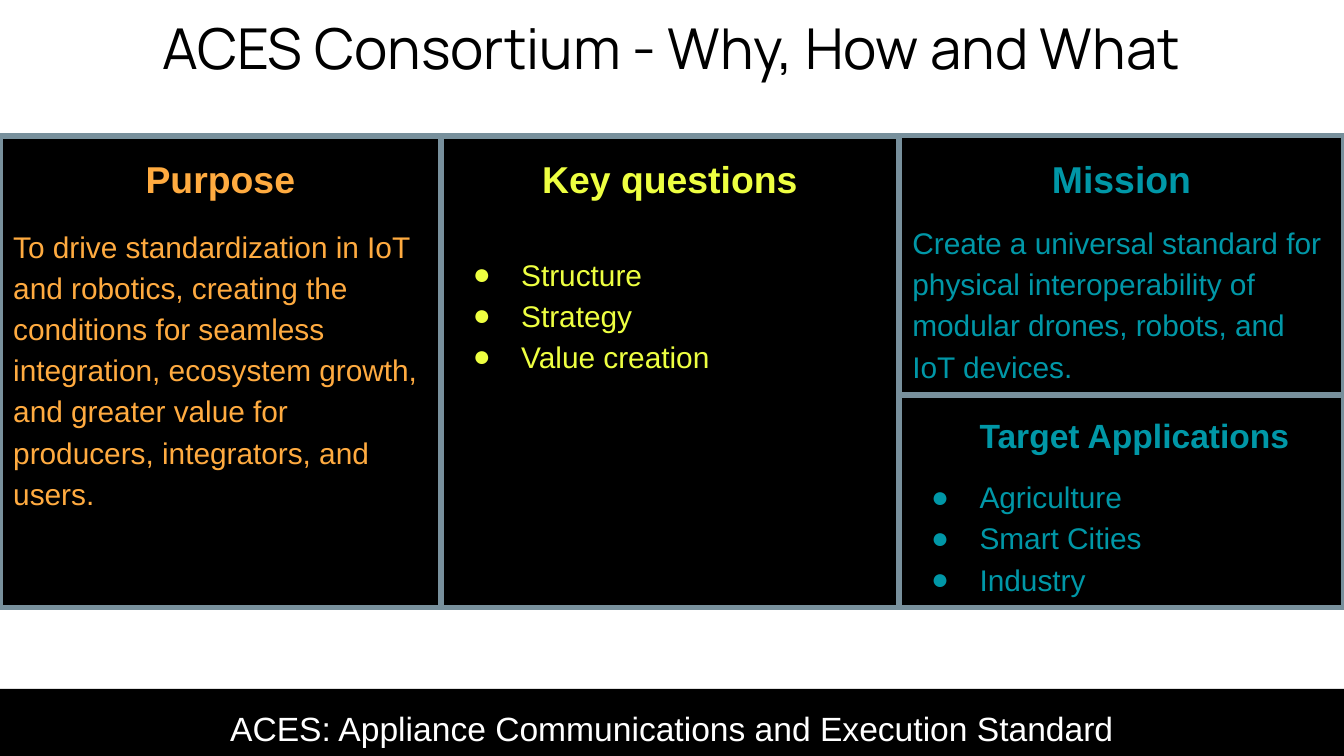
"""Build the ACES Consortium slide: purpose, key questions, mission and applications."""
from dataclasses import dataclass

from lxml import etree
from pptx import Presentation
from pptx.dml.color import RGBColor
from pptx.enum.shapes import MSO_SHAPE
from pptx.enum.text import MSO_ANCHOR, PP_ALIGN
from pptx.oxml.ns import qn
from pptx.util import Inches, Pt

RECTANGLE = MSO_SHAPE.RECTANGLE
TOP = MSO_ANCHOR.TOP
LEFT, CENTER = PP_ALIGN.LEFT, PP_ALIGN.CENTER


@dataclass(frozen=True)
class Theme:
    black: str = "000000"
    white: str = "FFFFFF"
    border: str = "78909C"
    orange: str = "FFAB40"
    yellow: str = "EEFF41"
    teal: str = "0097A7"
    title_font: str = "Manrope"
    body_font: str = "Arial"
    title_size: float = 30.2
    heading_size: float = 20
    subheading_size: float = 18
    body_size: float = 16
    border_width: float = 3
    line_spacing: float = 1.15
    inset: float = 0.1


@dataclass(frozen=True)
class Line:
    text: str
    size: float
    bold: bool = False
    align: PP_ALIGN = LEFT
    before: float = 0
    indent: float = 0
    bullet: bool = False


@dataclass(frozen=True)
class Card:
    left: float
    top: float
    width: float
    height: float
    color: str
    lines: tuple[Line, ...]


THEME = Theme()
SLIDE_WIDTH = 10
SLIDE_HEIGHT = SLIDE_WIDTH * 9 / 16
CARDS_TOP, CARDS_HEIGHT = 1.01, 3.51
QUESTIONS_LEFT, MISSION_LEFT = 3.28, 6.69
MISSION_HEIGHT = 1.93
MISSION_WIDTH = SLIDE_WIDTH - MISSION_LEFT
FOOTER_HEIGHT = 0.5


def heading(text: str) -> Line:
    return Line(text, THEME.heading_size, bold=True, align=CENTER)


def bullets(items: tuple[str, ...], before: float) -> tuple[Line, ...]:
    return tuple(
        Line(item, THEME.body_size, before=0 if index else before, indent=0.5, bullet=True)
        for index, item in enumerate(items)
    )


CARDS = (
    Card(QUESTIONS_LEFT, CARDS_TOP, MISSION_LEFT - QUESTIONS_LEFT, CARDS_HEIGHT, THEME.yellow, (
        heading("Key questions"),
        *bullets(("Structure", "Strategy", "Value creation"), 27),
    )),
    Card(MISSION_LEFT, CARDS_TOP, MISSION_WIDTH, MISSION_HEIGHT, THEME.teal, (
        heading("Mission"),
        Line("Create a universal standard for physical interoperability of modular drones, "
             "robots, and IoT devices.", THEME.body_size, before=10),
    )),
    Card(MISSION_LEFT, CARDS_TOP + MISSION_HEIGHT, MISSION_WIDTH,
         CARDS_HEIGHT - MISSION_HEIGHT, THEME.teal, (
        Line("Target Applications", THEME.subheading_size, bold=True, indent=0.5),
        *bullets(("Agriculture", "Smart Cities", "Industry"), 10),
    )),
    Card(0, CARDS_TOP, QUESTIONS_LEFT, CARDS_HEIGHT, THEME.orange, (
        heading("Purpose"),
        Line("To drive standardization in IoT and robotics, creating the conditions for "
             "seamless integration, ecosystem growth, and greater value for producers, "
             "integrators, and users.", THEME.body_size, before=12),
    )),
)
FOOTER = Card(0, SLIDE_HEIGHT - FOOTER_HEIGHT, SLIDE_WIDTH, FOOTER_HEIGHT, THEME.white, (
    Line("ACES: Appliance Communications and Execution Standard",
         THEME.subheading_size, align=CENTER),
))


def add_bullet(properties: etree._Element, color: str, font: str) -> None:
    bullet_color = etree.SubElement(properties, qn("a:buClr"))
    etree.SubElement(bullet_color, qn("a:srgbClr"), val=color)
    etree.SubElement(properties, qn("a:buFont"), typeface=font)
    etree.SubElement(properties, qn("a:buChar"), char="●")


def write_lines(frame, lines: tuple[Line, ...], color: str, font: str, spacing: float) -> None:
    frame.word_wrap = True
    frame.vertical_anchor = TOP
    frame.margin_left = frame.margin_right = Inches(THEME.inset)
    frame.margin_top = frame.margin_bottom = Inches(THEME.inset)
    frame.text = "\n".join(line.text for line in lines)
    for paragraph, line in zip(frame.paragraphs, lines):
        paragraph.alignment = line.align
        paragraph.line_spacing = spacing
        paragraph.space_before = Pt(line.before)
        properties = paragraph._p.get_or_add_pPr()
        properties.set("marL", str(Inches(line.indent)))
        properties.set("indent", str(Inches(-0.36 if line.bullet else 0)))
        if line.bullet:
            add_bullet(properties, color, font)
        for run in paragraph.runs:
            run.font.name = font
            run.font.size = Pt(line.size)
            run.font.bold = line.bold
            run.font.color.rgb = RGBColor.from_string(color)


def draw_title(slide, text: str) -> None:
    title = slide.shapes.add_textbox(0, 0, Inches(SLIDE_WIDTH), Inches(0.63))
    lines = (Line(text, THEME.title_size, align=CENTER),)
    write_lines(title.text_frame, lines, THEME.black, THEME.title_font, 1.0)


def draw_card(slide, card: Card, bordered: bool = True) -> None:
    panel = slide.shapes.add_shape(
        RECTANGLE, Inches(card.left), Inches(card.top), Inches(card.width), Inches(card.height))
    panel.shadow.inherit = False
    panel.fill.solid()
    panel.fill.fore_color.rgb = RGBColor.from_string(THEME.black)
    if bordered:
        panel.line.color.rgb = RGBColor.from_string(THEME.border)
        panel.line.width = Pt(THEME.border_width)
    else:
        panel.line.fill.background()
    write_lines(panel.text_frame, card.lines, card.color, THEME.body_font, THEME.line_spacing)


def main() -> None:
    presentation = Presentation()
    presentation.slide_width = Inches(SLIDE_WIDTH)
    presentation.slide_height = Inches(SLIDE_HEIGHT)
    slide = presentation.slides.add_slide(presentation.slide_layouts[6])
    draw_title(slide, "ACES Consortium - Why, How and What")
    draw_card(slide, FOOTER, bordered=False)
    for card in CARDS:
        draw_card(slide, card)
    presentation.save("out.pptx")


if __name__ == "__main__":
    main()
